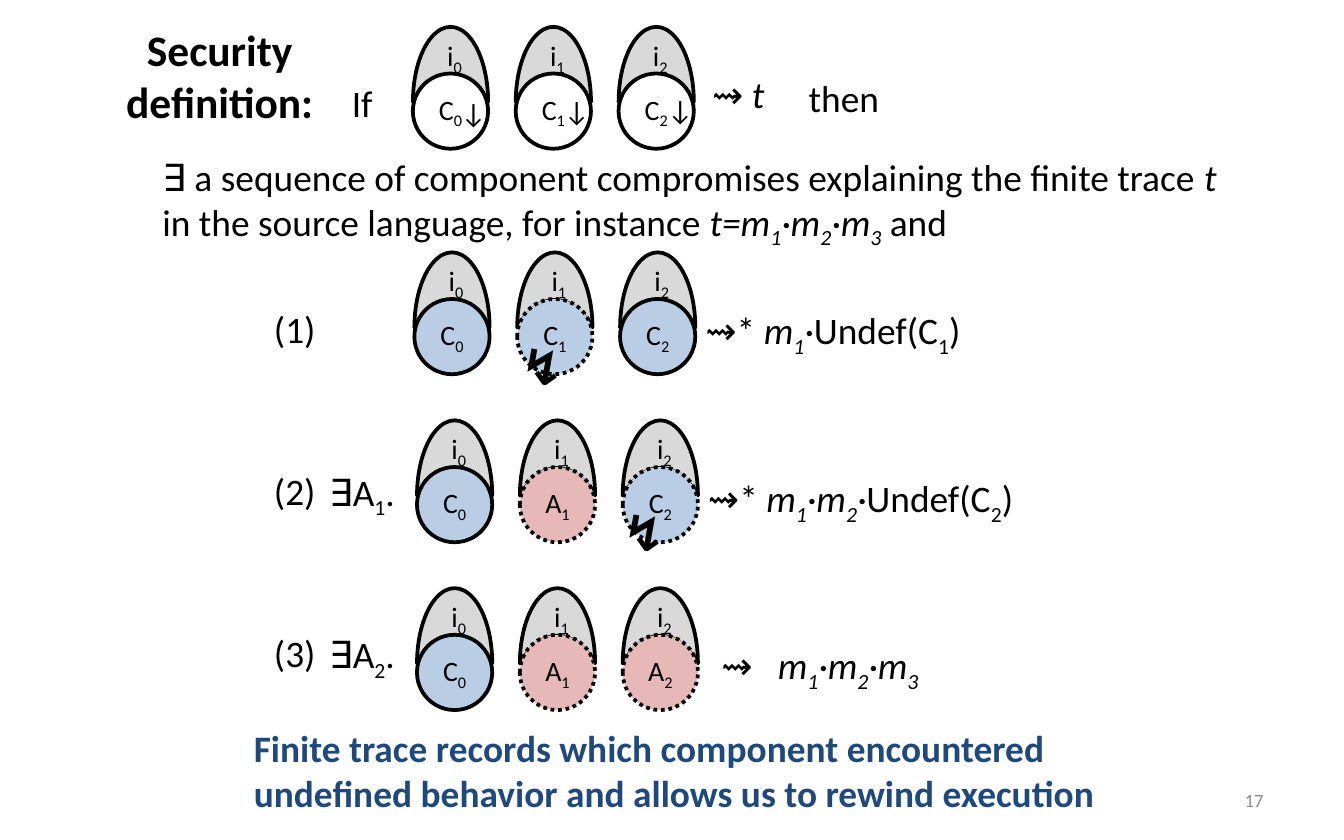
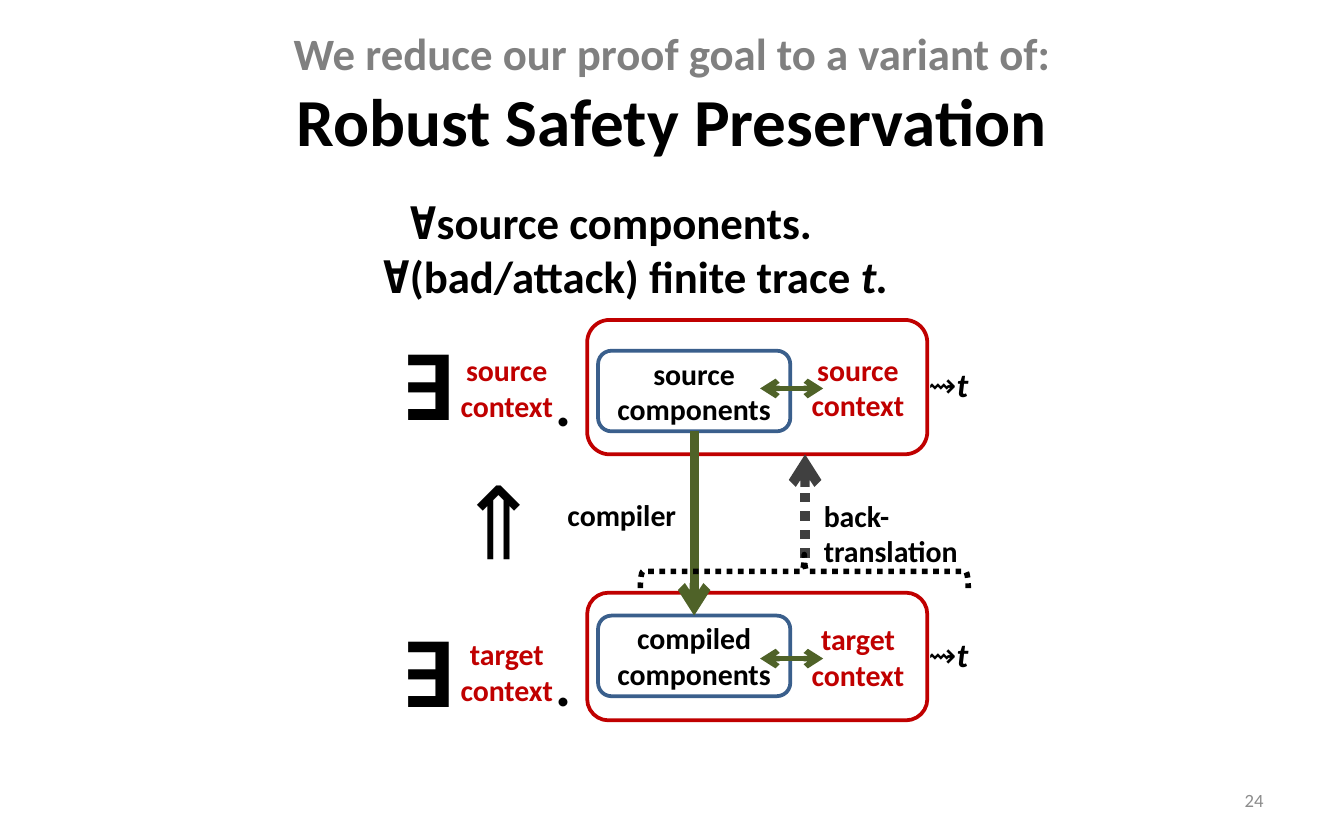
import copy
import dataclasses
import typing

import lxml.etree
import pptx
import pptx.dml.color
import pptx.enum.dml
import pptx.enum.shapes
import pptx.enum.text
import pptx.oxml.ns
import pptx.util

Pt = pptx.util.Pt
RGB = pptx.dml.color.RGBColor
SHAPE = pptx.enum.shapes.MSO_SHAPE
ALIGN = pptx.enum.text.PP_ALIGN
FIT = pptx.enum.text.MSO_AUTO_SIZE
MIDDLE = pptx.enum.text.MSO_ANCHOR.MIDDLE
TOP = pptx.enum.text.MSO_ANCHOR.TOP
qn = pptx.oxml.ns.qn

INK = RGB(0x00, 0x00, 0x00)
WHITE = RGB(0xFF, 0xFF, 0xFF)
CAP = RGB(0xD9, 0xD9, 0xD9)
SKY = RGB(0xB9, 0xCD, 0xE5)
ROSE = RGB(0xE6, 0xB9, 0xB8)
NAVY = RGB(0x1F, 0x49, 0x7D)
STEEL = RGB(0x3A, 0x5F, 0x8C)
RED = RGB(0xC0, 0x00, 0x00)
GREEN = RGB(0x4F, 0x62, 0x28)
DARK = RGB(0x40, 0x40, 0x40)
GRAY = RGB(0x80, 0x80, 0x80)
PALE = RGB(0x8C, 0x8C, 0x8C)

Look = dict[str, typing.Any]
PLAIN: Look = dict(name="Calibri", size=Pt(20), bold=False, italic=False, tone=INK)
SMALL = PLAIN | dict(size=Pt(15))
LABEL = PLAIN | dict(size=Pt(16), bold=True)
ALERT = LABEL | dict(tone=RED)
BOLT = PLAIN | dict(size=Pt(26.7), bold=True)
CLAIM = PLAIN | dict(bold=True, tone=NAVY)
PAGE = PLAIN | dict(size=Pt(10), tone=PALE)
MONO: Look = dict(name="DejaVu Sans Mono")
SIGN = PLAIN | MONO | dict(size=Pt(48), bold=True)
DOT = PLAIN | dict(size=Pt(32), bold=True)
TRACE = PLAIN | dict(size=Pt(18))


@dataclasses.dataclass(frozen=True)
class Note:
    left: float
    top: float
    wide: float
    tall: float
    text: str
    look: Look
    alt: Look = dataclasses.field(default_factory=dict)
    align: ALIGN = ALIGN.LEFT
    turn: int = 0


class Disc(typing.NamedTuple):
    text: str
    fill: RGB
    dots: bool = False


class Row(typing.NamedTuple):
    left: float
    top: float
    discs: tuple[Disc, ...]


class Stage(typing.NamedTuple):
    noun: str
    kind: str
    top: float
    tall: float
    box: float
    link: float
    sign: float
    side: float
    dot: float
    trace: float


def write(frame: typing.Any, text: str, look: Look, alt: Look | None = None,
          align: ALIGN = ALIGN.CENTER, **form: typing.Any) -> None:
    """Marks: ^ toggles the alternate look, | toggles italics, _ lowers one character."""
    form = dict(word_wrap=False, auto_size=FIT.NONE, vertical_anchor=MIDDLE) | form
    for key, value in form.items():
        setattr(frame, key, value)
    for index, line in enumerate(text.split("\n")):
        para = frame.add_paragraph() if index else frame.paragraphs[0]
        para.alignment = align
        for odd, span in enumerate(line.split("^")):
            base = look | (alt or {}) if odd % 2 else look
            for slant, phrase in enumerate(span.split("|")):
                style = base | dict(italic=True) if slant % 2 else base
                for low, chunk in enumerate(phrase.split("_")):
                    if low:
                        add_run(para, chunk[0], style, True)
                        chunk = chunk[1:]
                    add_run(para, chunk, style)


def add_run(para: typing.Any, text: str, look: Look, low: bool = False) -> None:
    for index, piece in enumerate(text.split("\v")):
        if index:
            para.add_line_break()
            para._p[-1].append(copy.deepcopy(run._r.rPr))
        if piece:
            run = para.add_run()
            run.text = piece
            for key, value in look.items():
                if key == "tone":
                    run.font.color.rgb = value
                else:
                    setattr(run.font, key, value)
            if low:
                run._r.get_or_add_rPr().set("baseline", "-25000")


def draw_note(shapes: typing.Any, note: Note) -> typing.Any:
    box = shapes.add_textbox(Pt(note.left), Pt(note.top), Pt(note.wide), Pt(note.tall))
    box.rotation = note.turn
    write(box.text_frame, note.text, note.look, note.alt, note.align,
          auto_size=FIT.SHAPE_TO_FIT_TEXT, vertical_anchor=TOP)
    return box


def set_line(line: typing.Any, tone: RGB, width: float, dots: bool) -> None:
    line.color.rgb = tone
    line.width = Pt(width)
    if dots:
        line.dash_style = pptx.enum.dml.MSO_LINE.ROUND_DOT


def draw_shape(shapes: typing.Any, kind: SHAPE, left: float, top: float, wide: float,
               tall: float, fill: RGB | None, tone: RGB = INK, width: float = 2,
               dots: bool = False) -> typing.Any:
    shape = shapes.add_shape(kind, Pt(left), Pt(top), Pt(wide), Pt(tall))
    shape.shadow.inherit = False
    if fill is None:
        shape.fill.background()
    else:
        shape.fill.solid()
        shape.fill.fore_color.rgb = fill
    set_line(shape.line, tone, width, dots)
    return shape


def draw_link(shapes: typing.Any, start: tuple[float, float], end: tuple[float, float],
              tone: RGB, width: float, both: bool = False, dots: bool = False) -> typing.Any:
    link = shapes.add_connector(pptx.enum.shapes.MSO_CONNECTOR.STRAIGHT,
                                *map(Pt, start + end))
    set_line(link.line, tone, width, dots)
    props = link._element.spPr
    for tag in ("a:headEnd", "a:tailEnd") if both else ("a:tailEnd",):
        lxml.etree.SubElement(props.find(qn("a:ln")), qn(tag)).set("type", "arrow")
    lxml.etree.SubElement(props, qn("a:effectLst"))
    return link


def draw_row(slide: typing.Any, row: Row) -> None:
    shapes = slide.shapes.add_group_shape().shapes
    size, step = 40.3, 55.1
    for col in range(len(row.discs)):
        left = row.left + col * step
        moon = draw_shape(shapes, SHAPE.MOON, left, row.top, size, size, CAP)
        moon.adjustments[0] = 0.632
        moon.rotation = 90
        draw_note(shapes, Note(left + 11.3, row.top + 2.5, 23, 25.2, f"i_{col}", SMALL))
    for col, disc in enumerate(row.discs):
        ball = draw_shape(shapes, SHAPE.OVAL, row.left + col * step, row.top + 25,
                          size, size, disc.fill, dots=disc.dots)
        write(ball.text_frame, disc.text, SMALL)


def draw_stage(slide: typing.Any, stage: Stage) -> typing.Any:
    shapes = slide.shapes
    words = f"{stage.kind}\vcontext"
    frame = draw_shape(shapes, SHAPE.ROUNDED_RECTANGLE, 314.6, stage.top, 182.2,
                       stage.tall, WHITE, RED)
    write(frame.text_frame, words, ALERT, margin_left=Pt(115))
    box = draw_shape(shapes, SHAPE.ROUNDED_RECTANGLE, 320.4, stage.box, 103, 43.2,
                     WHITE, STEEL)
    write(box.text_frame, f"{stage.noun}\vcomponents", LABEL)
    draw_link(shapes, (407.2, stage.link), (441, stage.link), GREEN, 3, both=True)
    for note in (
        Note(233, stage.side, 77, 46, words, ALERT, align=ALIGN.CENTER),
        Note(208, stage.sign, 44, 65.5, "∃", SIGN),
        Note(290.5, stage.dot, 23, 46, ".", DOT),
        Note(490.3, stage.trace, 38, 29, "⇝^t", TRACE, dict(bold=True, italic=True)),
    ):
        draw_note(shapes, note)
    return box


def add_slide(deck: typing.Any, page: str, title: str, place: tuple[float, ...],
              look: Look, alt: Look | None = None) -> typing.Any:
    slide = deck.slides.add_slide(deck.slide_layouts[5])
    head = slide.shapes.title
    for key, value in zip(("left", "top", "width", "height"), place):
        setattr(head, key, Pt(value))
    write(head.text_frame, title, look, alt, word_wrap=True)
    foot = slide.shapes.add_textbox(Pt(516.2), Pt(416.9), Pt(167.8), Pt(23.8))
    write(foot.text_frame, page, PAGE, align=ALIGN.RIGHT, word_wrap=True)
    return slide


ROWS = (
    Row(221.2, 14.4, tuple(Disc(f"C_{col}", WHITE) for col in range(3))),
    Row(222, 135.2, (Disc("C_0", SKY), Disc("C_1", SKY, True), Disc("C_2", SKY))),
    Row(223.4, 225.2, (Disc("C_0", SKY), Disc("A_1", ROSE, True), Disc("C_2", SKY, True))),
    Row(223.4, 315.1, (Disc("C_0", SKY), Disc("A_1", ROSE, True), Disc("A_2", ROSE, True))),
)

NOTES = (
    Note(79.9, 79.2, 579, 55.4,
         "∃ a sequence of component compromises explaining the finite trace |t\v|"
         "in the source language, for instance |t=m_1·m_2·m_3| and", PLAIN),
    *(Note(239.8 + 55.4 * col, 47.5 - 0.7 * col, 28, 25.2, "↓", SMALL) for col in range(3)),
    *(Note(139.7, 160.6 + 86.8 * row, 37.4, 31.7, f"({row + 1})", PLAIN) for row in range(3)),
    *(Note(169.2, 247.7 + 87.1 * row, 49.7, 31.7, f"∃A_{row + 1}.", PLAIN) for row in range(2)),
    *(Note(272.2 + 54.7 * row, 176.4 + 88.6 * row, 29.5, 39.6, "↯", BOLT) for row in range(2)),
    Note(181.4, 39.6, 25.9, 31.7, "If", PLAIN),
    Note(374.4, 34.6, 45.4, 31.7, "⇝ |t", PLAIN),
    Note(426.2, 36.7, 52.6, 31.7, "then", PLAIN),
    Note(370.8, 161.3, 157, 31.7, "⇝* |m_1·|Undef(C_1)", PLAIN),
    Note(372.2, 251.3, 185, 31.7, "⇝* |m_1·m_2·|Undef(C_2)", PLAIN),
    Note(379.4, 340.6, 32, 31.7, "⇝", PLAIN),
    Note(409.6, 340.6, 91, 31.7, "|m_1·m_2·m_3", PLAIN),
    Note(128.9, 385.2, 468.7, 55.4,
         "Finite trace records which component encountered\n"
         "undefined behavior and allows us to rewind execution", CLAIM),
)

STAGES = (
    Stage("source", "source", 171.4, 72, 187.9, 208.1, 173.5, 185, 193, 191.5),
    Stage("compiled", "target", 317.5, 68.4, 329.8, 352.8, 327.6, 337, 342.7, 336.2),
)


def build_rules(deck: typing.Any) -> None:
    slide = add_slide(deck, "17", "Security\vdefinition:", (51.1, -2.2, 133.2, 85),
                      PLAIN | dict(size=Pt(23.3), bold=True))
    for row in ROWS:
        draw_row(slide, row)
    for note in NOTES:
        draw_note(slide.shapes, note)


def build_proof(deck: typing.Any) -> None:
    slide = add_slide(
        deck, "24",
        "^We reduce our proof goal to a variant of:\v^Robust Safety Preservation",
        (36, 12.2, 648, 74.9), PLAIN | dict(size=Pt(36), bold=True),
        dict(size=Pt(24), tone=GRAY))
    shapes = slide.shapes
    first, last = [draw_stage(slide, stage) for stage in STAGES]
    link = draw_link(shapes, (371.9, 231.1), (371.9, 329.8), GREEN, 5)
    link.begin_connect(first, 2)
    link.end_connect(last, 0)
    draw_link(shapes, (431.3, 298.8), (431.3, 243.4), DARK, 5, dots=True)
    goal = draw_note(shapes, Note(
        198, 100.8, 288.7, 65.5,
        "^∀^source components.\n^∀^(bad/attack) finite trace |t.",
        LABEL | dict(size=Pt(24)), MONO))
    goal.text_frame.paragraphs[0]._p.get_or_add_pPr().set("marL", str(Pt(14.4)))
    for note in (
        Note(296, 262.8, 73.4, 26.6, "compiler", LABEL, align=ALIGN.RIGHT),
        Note(231.8, 242.6, 62, 72.7, "⇒", PLAIN | dict(size=Pt(54)), turn=270),
        Note(434.2, 262.8, 87, 46, "back-\vtranslation", LABEL),
    ):
        draw_note(shapes, note)
    brace = draw_shape(shapes, SHAPE.RIGHT_BRACE, 421.9, 218.2, 18, 175.7, None,
                       width=3, dots=True)
    brace.rotation = 270


def main() -> None:
    deck = pptx.Presentation()
    deck.slide_width, deck.slide_height = Pt(720), Pt(450)
    build_rules(deck)
    build_proof(deck)
    deck.save("out.pptx")


if __name__ == "__main__":
    main()
